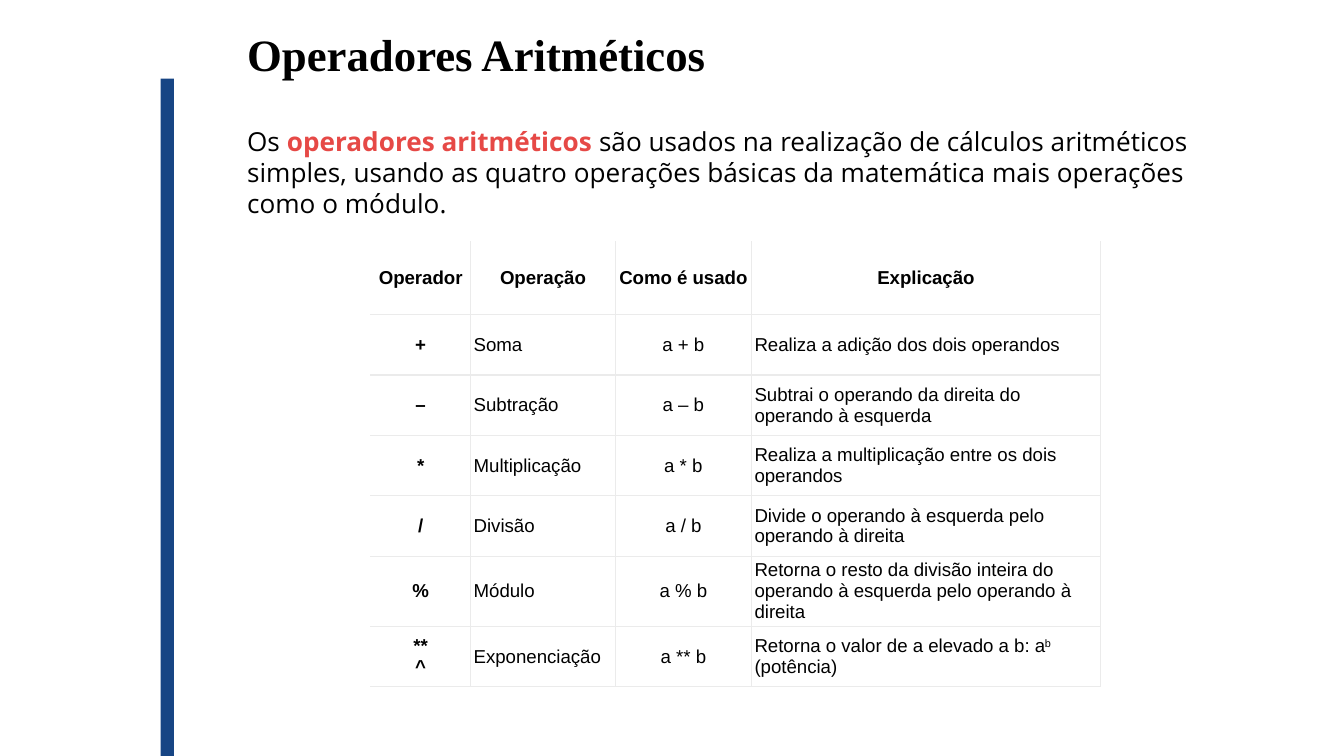
from dataclasses import dataclass

from lxml.etree import SubElement
from pptx import Presentation
from pptx.dml.color import RGBColor
from pptx.enum.shapes import MSO_SHAPE
from pptx.enum.text import MSO_ANCHOR, MSO_AUTO_SIZE, PP_ALIGN
from pptx.oxml.ns import qn
from pptx.util import Pt


@dataclass(frozen=True)
class Theme:
    bar: str = "174584"
    ink: str = "000000"
    accent: str = "E64946"
    paper: str = "FFFFFF"
    rule: str = "EBEBEB"
    rule_width: int = Pt(0.75)
    title_font: str = "Times New Roman"
    intro_font: str = "Open Sans"
    table_font: str = "Arial"
    title_size: int = 24
    intro_size: int = 14
    table_size: int = 10


THEME = Theme()
PX = 4572  # EMU per px, 200 px to the inch


def add_runs(paragraph, pieces, font, size):
    """Append (text, bold, colour) pieces as runs of one font and size."""
    for text, bold, color in pieces:
        run = paragraph.add_run()
        run.text = text
        run.font.name = font
        run.font.size = Pt(size)
        run.font.bold = bold
        run.font.color.rgb = RGBColor.from_string(color)


def draw_border(cell, side):
    """Rule one side of a cell: L, R, T or B."""
    line = SubElement(cell._tc.get_or_add_tcPr(), qn(f"a:ln{side}"), w=str(THEME.rule_width))
    fill = SubElement(line, qn("a:solidFill"))
    SubElement(fill, qn("a:srgbClr"), val=THEME.rule)


prs = Presentation()
prs.slide_width, prs.slide_height = 2000 * PX, 1125 * PX
slide = prs.slides.add_slide(prs.slide_layouts[6])

# Side bar
bar = slide.shapes.add_shape(
    MSO_SHAPE.RECTANGLE, -256 * PX, 612 * PX, 1010 * PX, 20 * PX)
bar.rotation = 270
bar.shadow.inherit = False
bar.fill.solid()
bar.fill.fore_color.rgb = RGBColor.from_string(THEME.bar)
bar.line.fill.background()

# Title and introduction
title = [("Operadores Aritméticos", True, THEME.ink)]
intro = [
    ("Os ", False, THEME.ink),
    ("operadores aritméticos", True, THEME.accent),
    (" são usados na realização de cálculos aritméticos simples, usando as quatro "
     "operações básicas da matemática mais operações como o módulo.", False, THEME.ink),
]
for pieces, top, width, height, font, size in (
    (title, 30, 1738, 100, THEME.title_font, THEME.title_size),
    (intro, 176, 1536, 162, THEME.intro_font, THEME.intro_size),
):
    frame = slide.shapes.add_textbox(348 * PX, top * PX, width * PX, height * PX).text_frame
    frame.word_wrap = True
    frame.auto_size = MSO_AUTO_SIZE.SHAPE_TO_FIT_TEXT
    add_runs(frame.paragraphs[0], pieces, font, size)

# Operator table; a tuple holds the pieces of a text with a raised middle
operators = [
    ("Operador", "Operação", "Como é usado", "Explicação"),
    ("+", "Soma", "a + b", "Realiza a adição dos dois operandos"),
    ("–", "Subtração", "a – b", "Subtrai o operando da direita do operando à esquerda"),
    ("*", "Multiplicação", "a * b", "Realiza a multiplicação entre os dois operandos"),
    ("/", "Divisão", "a / b", "Divide o operando à esquerda pelo operando à direita"),
    ("%", "Módulo", "a % b",
     "Retorna o resto da divisão inteira do operando à esquerda pelo operando à direita"),
    ("**\v^", "Exponenciação", "a ** b",
     ("Retorna o valor de a elevado a b: a", "b", " (potência)")),
]
column_widths = [148, 216, 202, 520]
row_heights = [108] + [90] * (len(operators) - 1)

table = slide.shapes.add_table(
    len(operators), len(column_widths), 552 * PX, 360 * PX,
    sum(column_widths) * PX, sum(row_heights) * PX).table
table.first_row = table.horz_banding = False
for column, width in zip(table.columns, column_widths):
    column.width = width * PX
for row, height in zip(table.rows, row_heights):
    row.height = height * PX

for r, texts in enumerate(operators):
    for c, text in enumerate(texts):
        cell = table.cell(r, c)
        cell.vertical_anchor = MSO_ANCHOR.MIDDLE
        cell.margin_left = cell.margin_right = 5 * PX
        cell.margin_top = cell.margin_bottom = 2 * PX
        for side, inner in (("L", c > 0), ("R", True), ("T", r > 0), ("B", True)):
            if inner:
                draw_border(cell, side)
        cell.fill.solid()
        cell.fill.fore_color.rgb = RGBColor.from_string(THEME.paper)

        paragraph = cell.text_frame.paragraphs[0]
        centred = r == 0 or c in (0, 2)
        paragraph.alignment = PP_ALIGN.CENTER if centred else PP_ALIGN.LEFT
        bold = r == 0 or c == 0
        if isinstance(text, tuple):
            add_runs(paragraph, [(piece, bold, THEME.ink) for piece in text],
                     THEME.table_font, THEME.table_size)
            paragraph.runs[1]._r.get_or_add_rPr().set("baseline", "30000")
            continue
        paragraph.text = text
        for run in paragraph.runs:
            run.font.name = THEME.table_font
            run.font.size = Pt(THEME.table_size)
            run.font.bold = bold
            run.font.color.rgb = RGBColor.from_string(THEME.ink)

prs.save("out.pptx")
